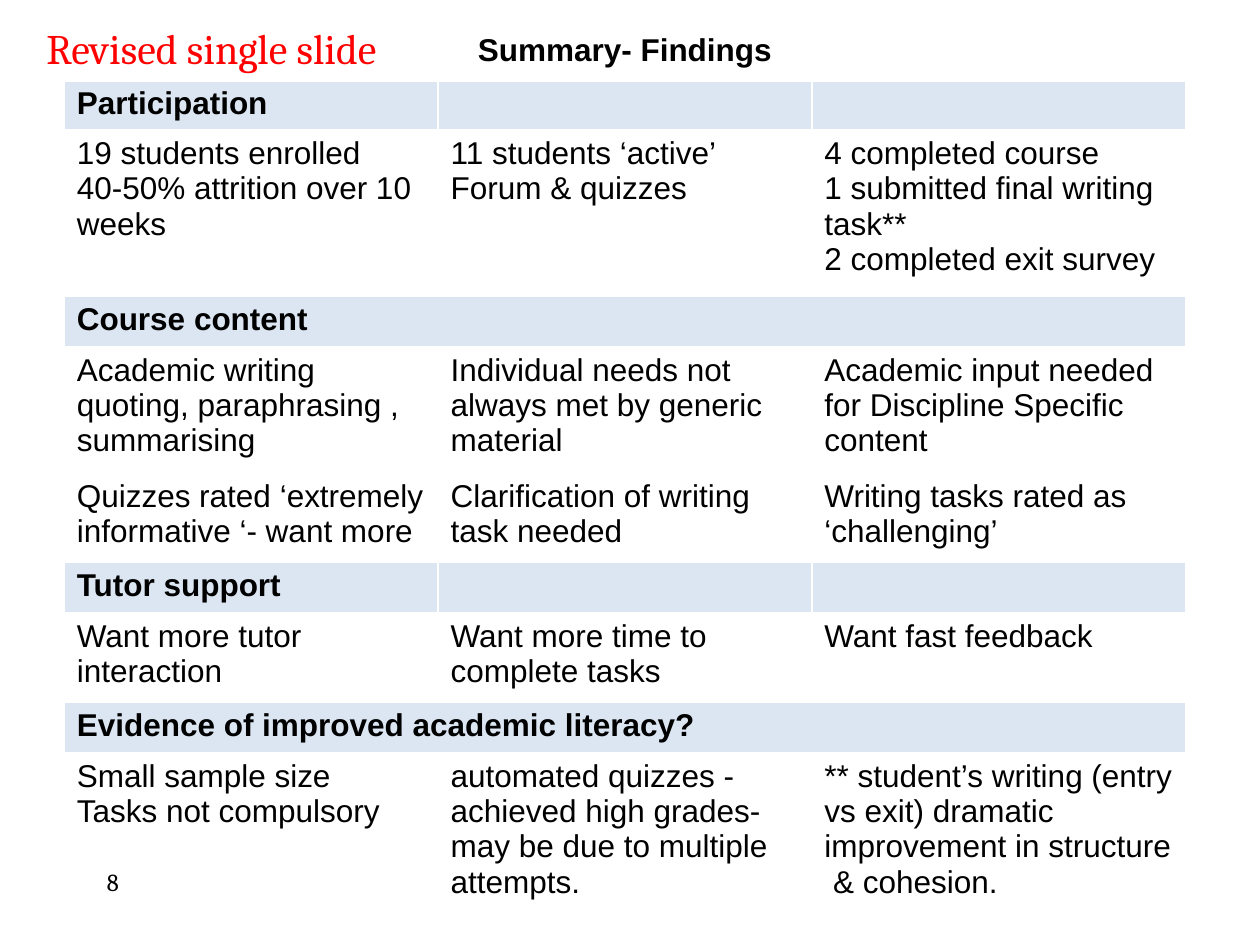
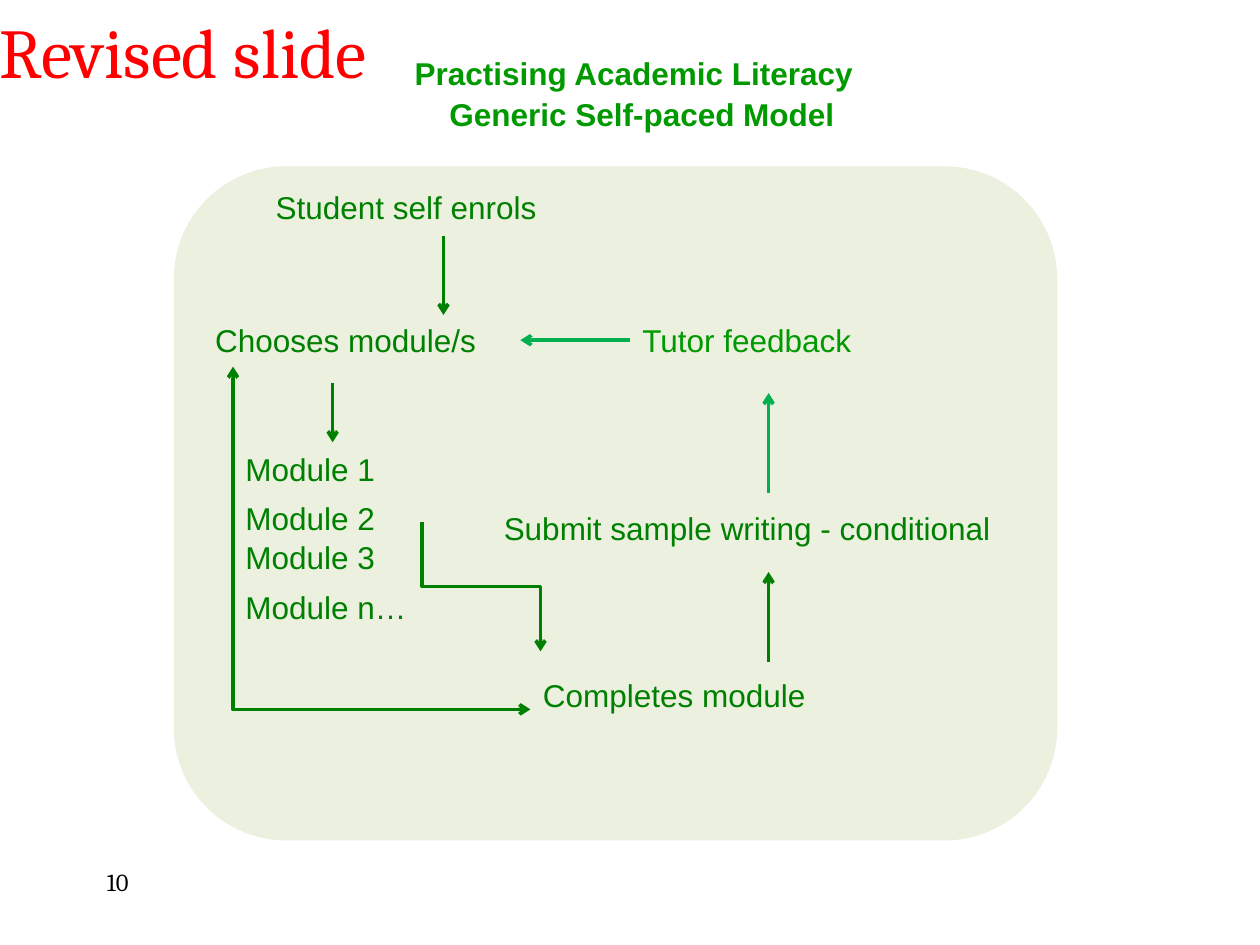
from lxml.etree import SubElement
from pptx import Presentation
from pptx.dml.color import RGBColor
from pptx.enum.shapes import MSO_CONNECTOR, MSO_SHAPE
from pptx.enum.text import PP_ALIGN
from pptx.oxml.ns import qn
from pptx.util import Inches, Pt

BLACK, WHITE, RED = "000000", "FFFFFF", "FF0000"
BAND, PANEL = "DCE6F2", "EBF1DE"
GREEN, TITLE_GREEN, FEEDBACK_GREEN = "008000", "009900", "00B050"
BODY_FONT, NOTE_FONT = "Arial", "Cambria"
LABEL_ROWS = 4

FINDINGS = [
    (4.2, ["Summary- Findings"]),
    (3.8, ["Participation", "", ""]),
    (13.2, ["19 students enrolled\n40-50% attrition over 10 weeks",
            "11 students ‘active’\nForum & quizzes",
            "4 completed course\n1 submitted final writing task**\n2 completed exit survey"]),
    (3.9, ["Course content"]),
    (10, ["Academic writing quoting, paraphrasing , summarising",
          "Individual needs not always met by generic material",
          "Academic input needed for Discipline Specific content"]),
    (7.1, ["Quizzes rated ‘extremely informative ‘- want more",
           "Clarification of writing task needed",
           "Writing tasks rated as ‘challenging’"]),
    (4, ["Tutor support", "", ""]),
    (7.1, ["Want more tutor interaction",
           "Want more time to complete tasks",
           "Want fast feedback"]),
    (3.9, ["Evidence of improved academic literacy?"]),
    (12.5, ["Small sample size\nTasks not compulsory",
            "automated quizzes - achieved high grades-may be due to multiple attempts.",
            "** student’s writing (entry vs exit) dramatic improvement in structure  & cohesion."]),
]
BAND_ROWS = (1, 3, 6, 8)


def rgb(value):
    """Turn a hex string into a colour."""
    return RGBColor.from_string(value)


def grid(*units):
    """Convert units of a 100 by 75 grid into lengths."""
    return [Inches(u / 10) for u in units]


class Deck:
    """Hold the style and the current slide."""

    def __init__(self):
        """Start an empty presentation."""
        self.prs = Presentation()
        self.prs.slide_width, self.prs.slide_height = grid(100, 75)

    def slide(self, number):
        """Add a blank slide with its number."""
        self.s = self.prs.slides.add_slide(self.prs.slide_layouts[6])
        self.number = number

    def style(self, tf, size, font, color, bold=False, align=PP_ALIGN.LEFT):
        """Format every run of a text frame."""
        for p in tf.paragraphs:
            p.alignment = align
            for r in p.runs:
                r.font.size, r.font.name, r.font.bold = Pt(size), font, bold
                r.font.color.rgb = rgb(color)

    def text(self, box, text, color=GREEN, size=18, font=BODY_FONT, **look):
        """Add a text box."""
        sp = self.s.shapes.add_textbox(*grid(*box))
        sp.text_frame.word_wrap = True
        sp.text_frame.text = text
        self.style(sp.text_frame, size, font, color, **look)
        return sp

    def label(self, left, top, width, text, color=GREEN):
        """Add a one-line label of the flow."""
        return self.text((left, top, width, LABEL_ROWS), text, color)

    def page_number(self):
        """Write the slide number in the footer."""
        self.text((7.5, 68.3, 20.8, 5), str(self.number), BLACK, 14, NOTE_FONT)

    def revision_note(self, box, text, size):
        """Add a red note on a white ground."""
        sp = self.text(box, text, RED, size, NOTE_FONT)
        sp.fill.solid()
        sp.fill.fore_color.rgb = rgb(WHITE)

    def panel(self, box):
        """Add the rounded ground of the flow."""
        sp = self.s.shapes.add_shape(MSO_SHAPE.ROUNDED_RECTANGLE, *grid(*box))
        sp.shadow.inherit = False
        sp.fill.solid()
        sp.fill.fore_color.rgb = rgb(PANEL)
        sp.line.fill.background()

    def arrow(self, start, end, color=GREEN, kind=MSO_CONNECTOR.STRAIGHT, ends=("tailEnd",)):
        """Add a connector with arrowheads."""
        c = self.s.shapes.add_connector(kind, *grid(*start, *end))
        c.line.color.rgb = rgb(color)
        c.line.width = Pt(2)
        ln = c.line._get_or_add_ln()
        for tag in ends:
            SubElement(ln, qn(f"a:{tag}"), type="arrow")
        SubElement(c._element.spPr, qn("a:effectLst"))
        return c

    def bent_arrow(self, start, end, preset, ends=("tailEnd",)):
        """Add an elbow arrow that leaves its start downwards."""
        c = self.arrow(start, end, kind=MSO_CONNECTOR.ELBOW, ends=ends)
        (x1, y1), (x2, y2) = start, end
        across, down = x2 - x1, y2 - y1
        c.left, c.top, c.width, c.height = grid(
            (x1 + x2 - down) / 2, (y1 + y2 - across) / 2, down, across)
        xfrm = c._element.spPr.find(qn("a:xfrm"))
        xfrm.set("rot", "16200000")
        xfrm.set("flipH", "1")
        c._element.spPr.find(qn("a:prstGeom")).set("prst", preset)

    def borders(self, cell, bottom):
        """Draw white borders around a cell."""
        tcPr = cell._tc.get_or_add_tcPr()
        for side, width in (("L", 1), ("R", 1), ("T", 1), ("B", bottom)):
            ln = SubElement(tcPr, qn(f"a:ln{side}"), w=str(Pt(width)))
            fill = SubElement(ln, qn("a:solidFill"))
            SubElement(fill, qn("a:srgbClr"), val=WHITE)

    def table(self, left, top, width, rows, bands):
        """Add a three-column table; a row with one text spans it."""
        height = sum(h for h, _ in rows)
        tbl = self.s.shapes.add_table(len(rows), 3, *grid(left, top, width, height)).table
        tbl.first_row = tbl.horz_banding = False
        for i, (row_height, texts) in enumerate(rows):
            tbl.rows[i].height = grid(row_height)[0]
            for j in range(3):
                cell = tbl.cell(i, j)
                self.borders(cell, 1 if i else 3)
                if i in bands:
                    cell.fill.solid()
                    cell.fill.fore_color.rgb = rgb(BAND)
                else:
                    cell.fill.background()
            if len(texts) == 1:
                tbl.cell(i, 0).merge(tbl.cell(i, 2))
            for j, text in enumerate(texts):
                tf = tbl.cell(i, j).text_frame
                tf.text = text
                self.style(tf, 18, BODY_FONT, BLACK, i == 0 or i in bands,
                           PP_ALIGN.LEFT if i else PP_ALIGN.CENTER)


def findings(deck):
    """Build the summary table slide."""
    deck.slide(8)
    deck.page_number()
    deck.table(5.1, 2.1, 89, FINDINGS, BAND_ROWS)
    deck.revision_note((2.7, 1.3, 29.1, 5.1), "Revised single slide", 24)


def model(deck):
    """Build the self-paced model slide."""
    deck.slide(10)
    deck.panel((13.8, 13.2, 70.1, 53.5))
    deck.page_number()
    title = deck.text((26.7, 3.8, 47.2, 7.1),
                      "Practising Academic Literacy\nGeneric Self-paced Model",
                      TITLE_GREEN, bold=True, align=PP_ALIGN.CENTER)
    p = title.text_frame.paragraphs[1]
    p.space_before = Pt(2)
    p._p.get_or_add_pPr().set("marL", str(Inches(0.13)))

    deck.label(20.9, 14.4, 23.6, "Student self enrols")
    chooses = deck.label(16.1, 25, 25.2, "Chooses module/s")
    deck.label(39, 39.9, 41, "Submit sample writing - conditional")
    feedback = deck.label(50, 25, 18.9, "Tutor feedback", TITLE_GREEN)
    for top, name in ((35.2, "1"), (39.1, "2"), (42.2, "3"), (46.2, "n…")):
        deck.label(18.5, top, 15.7, f"Module {name}")
    deck.label(42.1, 53.2, 23.1, "Completes module")

    deck.arrow((35.2, 18.7), (35.2, 25))
    deck.arrow((26.4, 30.4), (26.4, 35.1))
    deck.arrow((61, 52.5), (61, 45.4))
    deck.arrow((61, 39.1), (61, 31.2), FEEDBACK_GREEN)
    c = deck.arrow((50, 27), (41.3, 27), FEEDBACK_GREEN)
    c.begin_connect(feedback, 1)
    c.end_connect(chooses, 3)
    deck.bent_arrow((33.5, 41.4), (42.9, 51.7), "bentConnector3")
    deck.bent_arrow((18.5, 29.1), (42.1, 56.3), "bentConnector2", ("headEnd", "tailEnd"))
    deck.revision_note((-1, 0.2, 32.1, 7.7), "Revised slide", 40)


def main():
    """Build and save the slides."""
    deck = Deck()
    findings(deck)
    model(deck)
    deck.prs.save("out.pptx")


if __name__ == "__main__":
    main()
